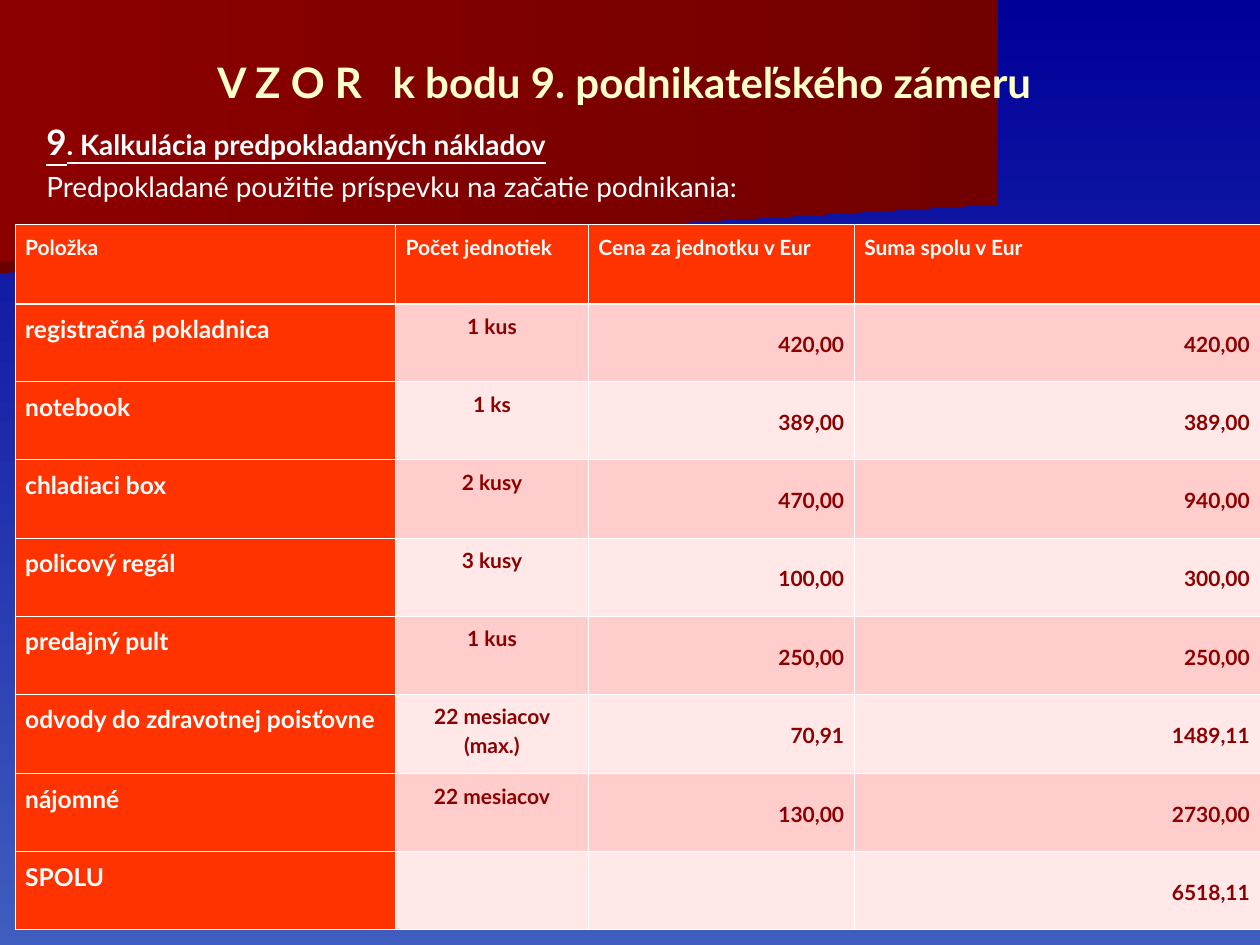
from dataclasses import dataclass

from lxml.etree import SubElement
from pptx import Presentation
from pptx.dml.color import RGBColor
from pptx.enum.text import MSO_ANCHOR, PP_ALIGN
from pptx.oxml.ns import qn
from pptx.util import Inches, Pt


@dataclass(frozen=True)
class Theme:
    font: str = "Lato"
    white: str = "FFFFFF"
    cream: str = "FFFFCC"
    maroon: str = "8C0000"
    orange: str = "FF3300"
    pink: str = "FFCDCB"
    pale_pink: str = "FFE8E7"
    sky: tuple = ("000099", "3F5DBF")
    lower_band: tuple = ("6B0000", "720000")
    upper_band: tuple = ("8C0000", "720000")
    title: int = 24
    number: int = 20
    body: int = 16
    item: int = 14
    cell: int = 12


THEME = Theme()


def write_run(paragraph, text, color, **formats):
    run = paragraph.add_run()
    run.text = text
    run.font.color.rgb = RGBColor.from_string(color)
    for name, value in {"name": THEME.font, "bold": True, **formats}.items():
        setattr(run.font, name, value)


def paint_gradient(fill, colors, angle):
    fill.gradient()
    fill.gradient_angle = angle
    for stop, color, position in zip(fill.gradient_stops, colors, (0, 1)):
        stop.color.rgb = RGBColor.from_string(color)
        stop.position = position


prs = Presentation()
prs.slide_width, prs.slide_height = Inches(10), Inches(7.5)
slide = prs.slides.add_slide(prs.slide_layouts[6])

# Background with two dark red bands
paint_gradient(slide.background.fill, THEME.sky, 270)
bands = [
    (THEME.lower_band, [(7.78, 1.53), (0, 2.17), (0, 1.01), (7.79, 1.01), (7.78, 1.28)]),
    (THEME.upper_band, [(7.92, 1.62), (0, 2.08), (0, 0), (7.92, 0)]),
]
for colors, corners in bands:
    points = [(Inches(x), Inches(y)) for x, y in corners]
    outline = slide.shapes.build_freeform(*points[0], scale=1.0)
    outline.add_line_segments(points[1:], close=True)
    band = outline.convert_to_shape()
    band.shadow.inherit = False
    band.line.fill.background()
    paint_gradient(band.fill, colors, 0)

# Title
title = slide.shapes.add_textbox(Inches(0.5), Inches(0.3), Inches(8.91), Inches(0.69)).text_frame
title.word_wrap = True
title.vertical_anchor = MSO_ANCHOR.MIDDLE
title.paragraphs[0].alignment = PP_ALIGN.CENTER
write_run(title.paragraphs[0], "V Z O R   k bodu 9. podnikateľského zámeru",
          THEME.cream, size=Pt(THEME.title))

# Section heading and introduction
intro = slide.shapes.add_textbox(Inches(0.27), Inches(0.91), Inches(9.23), Inches(0.85)).text_frame
intro.word_wrap = True
heading = intro.paragraphs[0]
write_run(heading, "9", THEME.white, size=Pt(THEME.number), underline=True)
write_run(heading, ". Kalkulácia predpokladaných nákladov", THEME.white,
          size=Pt(THEME.body), underline=True)
purpose = intro.add_paragraph()
purpose.space_before = Pt(4)
write_run(purpose, "Predpokladané použitie príspevku na začatie podnikania:",
          THEME.white, size=Pt(THEME.body), bold=False)

# Cost table
costs = [
    ("Položka", "Počet jednotiek", "Cena za jednotku v Eur", "Suma spolu v Eur"),
    ("registračná pokladnica", "1 kus", "420,00", "420,00"),
    ("notebook", "1 ks", "389,00", "389,00"),
    ("chladiaci box", "2 kusy", "470,00", "940,00"),
    ("policový regál", "3 kusy", "100,00", "300,00"),
    ("predajný pult", "1 kus", "250,00", "250,00"),
    ("odvody do zdravotnej poisťovne", "22 mesiacov (max.)", "70,91", "1489,11"),
    ("nájomné", "22 mesiacov", "130,00", "2730,00"),
    ("SPOLU", "", "", "6518,11"),
]
column_widths = (3.02, 1.53, 2.11, 3.22)
alignments = (PP_ALIGN.LEFT, PP_ALIGN.CENTER, PP_ALIGN.RIGHT, PP_ALIGN.RIGHT)
margins = {"margin_left": Inches(0.08), "margin_right": Inches(0.08),
           "margin_top": Inches(0.05), "margin_bottom": Inches(0.05)}

table = slide.shapes.add_table(len(costs), len(column_widths), Inches(0.12), Inches(1.78),
                               Inches(sum(column_widths)), Inches(5.59)).table
for column, width in zip(table.columns, column_widths):
    column.width = Inches(width)

for r, cost in enumerate(costs):
    table.rows[r].height = Inches(0.63 if r in (0, 6) else 0.62)
    for c, text in enumerate(cost):
        cell = table.cell(r, c)
        is_header, is_item = r == 0, c == 0
        on_orange = is_header or is_item
        is_amount = c >= 2 and not is_header
        cell_format = {**margins, "vertical_anchor": MSO_ANCHOR.MIDDLE if is_amount else MSO_ANCHOR.TOP}
        for name, value in cell_format.items():
            setattr(cell, name, value)

        # White borders, heavier under the header
        for side in ("L", "R", "T", "B"):
            heavy = (r, side) in ((0, "B"), (1, "T"))
            border = SubElement(cell._tc.get_or_add_tcPr(), qn(f"a:ln{side}"),
                                w=str(Pt(1.47 if heavy else 0.45)))
            SubElement(SubElement(border, qn("a:solidFill")), qn("a:srgbClr"), val=THEME.white)

        # Fill and text
        stripe = THEME.pink if r % 2 else THEME.pale_pink
        cell.fill.solid()
        cell.fill.fore_color.rgb = RGBColor.from_string(THEME.orange if on_orange else stripe)
        if text:
            paragraph = cell.text_frame.paragraphs[0]
            paragraph.line_spacing = 1.15
            paragraph.alignment = PP_ALIGN.LEFT if is_header else alignments[c]
            write_run(paragraph, text, THEME.white if on_orange else THEME.maroon,
                      size=Pt(THEME.item if is_item and not is_header else THEME.cell))

prs.save("out.pptx")
